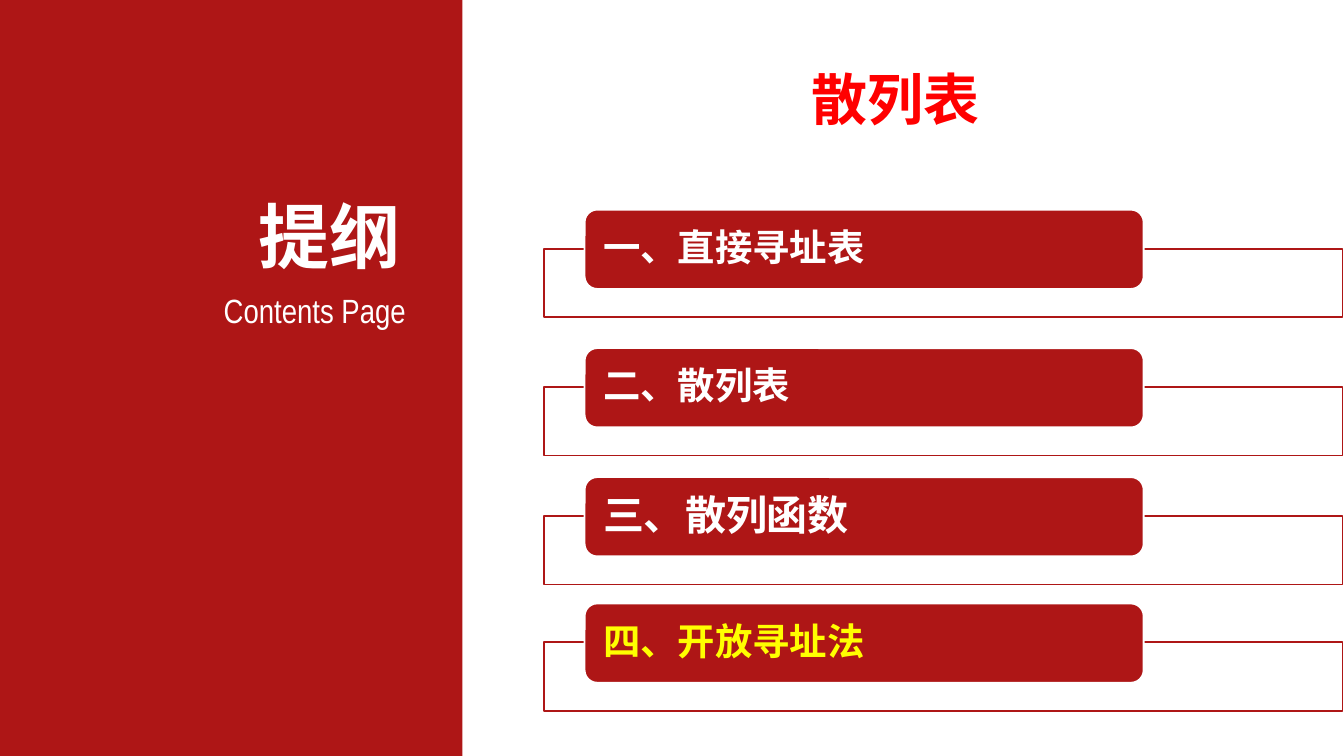
import pptx
import pptx.dml.color
import pptx.enum.shapes
import pptx.enum.text
import pptx.oxml
import pptx.oxml.ns
import pptx.util
from pptx.util import Inches

COLORS = {"red": "AE1616", "white": "FFFFFF", "title": "FF0000", "current": "FFFF00"}
SLIDE_WIDTH = 10
SLIDE_HEIGHT = SLIDE_WIDTH * 9 / 16
SHAPES = pptx.enum.shapes.MSO_SHAPE
ALIGN = pptx.enum.text.PP_ALIGN
ANCHOR = pptx.enum.text.MSO_ANCHOR

# top of the frame, wording, size, font, colour
CHAPTERS = [
    (1.85, "一、直接寻址表", 20, "Cabin", "white"),
    (2.88, "二、散列表", 20, "Cabin", "white"),
    (3.84, "三、散列函数", 22, "Noto Sans CJK SC", "white"),
    (4.78, "四、开放寻址法", 20, "Cabin", "current"),
]


def rgb(name):
    return pptx.dml.color.RGBColor.from_string(COLORS[name])


def add_block(slide, preset, box, fill, line=None):
    block = slide.shapes.add_shape(preset, *map(Inches, box))
    block.shadow.inherit = False
    block.fill.solid()
    block.fill.fore_color.rgb = rgb(fill)
    if line:
        block.line.color.rgb = rgb(line)
        block.line.width = pptx.util.Pt(1)
    else:
        block.line.fill.background()
    return block


def set_opacity(block, percent):
    color = block.fill._xPr.find(".//" + pptx.oxml.ns.qn("a:srgbClr"))
    alpha = pptx.oxml.parse_xml(
        f'<a:alpha {pptx.oxml.ns.nsdecls("a")} val="{percent * 1000}"/>')
    color.append(alpha)


def write(shape, wording, size, font, color, align, bold=True,
          insets=(0.07, 0.04), anchor=ANCHOR.TOP):
    """Fill a shape with one run and return its paragraph."""
    frame = shape.text_frame
    frame.word_wrap = True
    frame.vertical_anchor = anchor
    frame.margin_left = frame.margin_right = Inches(insets[0])
    frame.margin_top = frame.margin_bottom = Inches(insets[1])
    paragraph = frame.paragraphs[0]
    paragraph.alignment = align
    run = paragraph.add_run()
    run.text = wording
    run.font.size = pptx.util.Pt(size)
    run.font.name = font
    run.font.bold = bold
    run.font.color.rgb = rgb(color)
    return paragraph


def add_text(slide, box, *args, **kwargs):
    return write(slide.shapes.add_textbox(*map(Inches, box)), *args, **kwargs)


def add_chapter(slide, top, wording, size, font, color):
    """Add an outlined frame with a rounded label over its upper edge."""
    frame = add_block(slide, SHAPES.RECTANGLE, (4.05, top, 5.94, 0.51), "white", "red")
    set_opacity(frame, 90)
    label = add_block(slide, SHAPES.ROUNDED_RECTANGLE,
                      (4.35, top - 0.29, 4.16, 0.59), "red", "white")
    label.adjustments[0] = 0.16
    paragraph = write(label, wording, size, font, color, ALIGN.LEFT,
                      insets=(0.11, 0.02), anchor=ANCHOR.MIDDLE)
    paragraph.line_spacing = 0.9
    paragraph.space_after = pptx.util.Pt(7)


def main():
    deck = pptx.Presentation()
    deck.slide_width, deck.slide_height = Inches(SLIDE_WIDTH), Inches(SLIDE_HEIGHT)
    slide = deck.slides.add_slide(deck.slide_layouts[6])

    add_block(slide, SHAPES.RECTANGLE, (0, 0, 3.44, SLIDE_HEIGHT), "red")
    add_text(slide, (0.34, 2.12, 2.75, 0.38), "Contents Page", 18, "Arial Narrow",
             "white", ALIGN.RIGHT, bold=False)
    add_text(slide, (1.1, 1.39, 1.95, 0.72), "提纲", 38, "Arial", "white", ALIGN.RIGHT)

    title = add_text(slide, (3.44, 0, 6.45, 1.21), "散列表", 30, "Arial", "title",
                     ALIGN.CENTER, insets=(0.1, 0.05), anchor=ANCHOR.MIDDLE)
    title.line_spacing = 1.5

    for chapter in CHAPTERS:
        add_chapter(slide, *chapter)

    deck.save("out.pptx")


if __name__ == "__main__":
    main()
